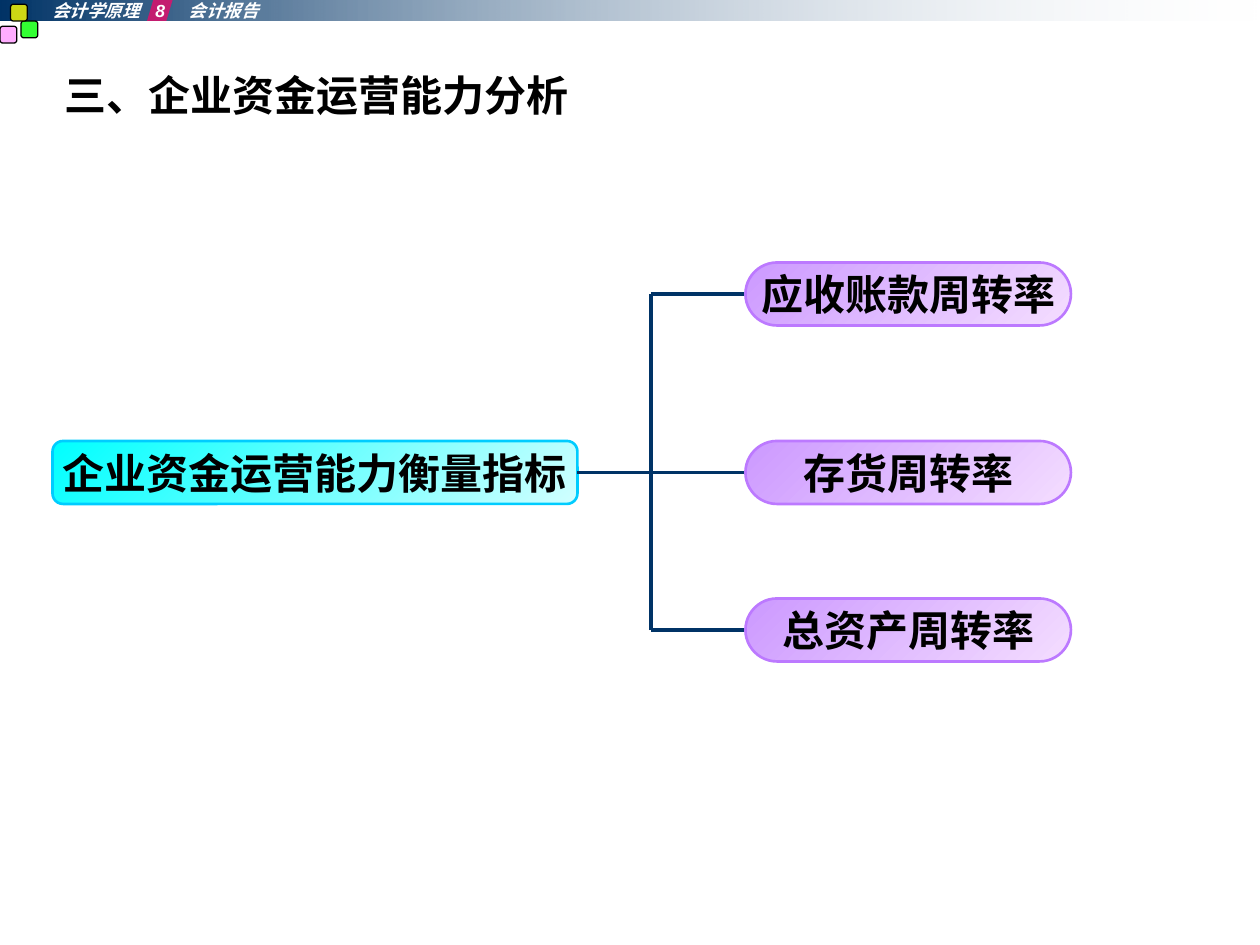
import pptx
import pptx.dml.color
import pptx.enum.shapes
import pptx.enum.text
import pptx.oxml.ns
import pptx.util
from dataclasses import dataclass
from lxml import etree

SCALE = 7620  # EMU per px, 120 px to the inch
qn = pptx.oxml.ns.qn
SHAPE = pptx.enum.shapes.MSO_SHAPE


@dataclass(frozen=True)
class Theme:
    font: str = "Arial"
    header_size: int = 10
    body_size: int = 24
    thin: float = 0.75
    outline: float = 1.5
    branch: float = 2.25
    navy: str = "003366"
    mist: str = "E7ECF1"
    black: str = "000000"
    white: str = "FFFFFF"
    pink: str = "FF99FF"
    green: str = "00FF00"
    yellow: str = "FFFF00"
    magenta: str = "FF0066"
    root_fill: tuple = ("00FFFF", "D1FFFF")
    root_line: str = "00CCFF"
    leaf_fill: tuple = ("CC99FF", "F4DDFF")
    leaf_line: str = "BC79FF"


THEME = Theme()


def px(length):
    return pptx.util.Emu(length * SCALE)


def rgb(value):
    return pptx.dml.color.RGBColor.from_string(value)


def add_box(page, kind, box, fill, adjust=None, line=None, width=THEME.outline,
            angle=0, alpha=None):
    """Add a preset shape; a pair of fill colours makes a gradient.

    The alpha percentage applies to the last fill colour.
    """
    shape = page.shapes.add_shape(kind, *map(px, box))
    shape.shadow.inherit = False
    if adjust is not None:
        shape.adjustments[0] = adjust
    if isinstance(fill, tuple):
        shape.fill.gradient()
        shape.fill.gradient_angle = (360 - angle) % 360
        for stop, color in zip(shape.fill.gradient_stops, fill):
            stop.color.rgb = rgb(color)
    else:
        shape.fill.solid()
        shape.fill.fore_color.rgb = rgb(fill)
    if alpha is not None:
        color = list(shape._element.spPr.iter(qn("a:srgbClr")))[-1]
        etree.SubElement(color, qn("a:alpha"), val=str(alpha * 1000))
    if line:
        shape.line.color.rgb = rgb(line)
        shape.line.width = pptx.util.Pt(width)
    else:
        shape.line.fill.background()
    return shape


def add_text_box(page, box):
    frame = page.shapes.add_textbox(*map(px, box)).text_frame
    frame.word_wrap = True
    return frame


def style_text(para, size, color, italic=None):
    for span in para.runs:
        span.font.name = THEME.font
        span.font.size = pptx.util.Pt(size)
        span.font.bold = True
        span.font.italic = italic
        span.font.color.rgb = rgb(color)


def add_line(page, start, end):
    line = page.shapes.add_connector(
        pptx.enum.shapes.MSO_CONNECTOR.STRAIGHT, *map(px, start + end))
    line.line.color.rgb = rgb(THEME.navy)
    line.line.width = pptx.util.Pt(THEME.branch)
    etree.SubElement(line._element.spPr, qn("a:effectLst"))


def add_header(page, box):
    left, top, width, height = box
    # Fading bar
    add_box(page, SHAPE.RECTANGLE, box, (THEME.navy, THEME.mist), alpha=0)
    # Corner squares
    for x, y, color in ((0, 25, THEME.pink), (20, 20, THEME.green),
                        (10, 4, THEME.yellow)):
        add_box(page, SHAPE.ROUNDED_RECTANGLE, (left + x, top + y, 16, 16), color,
                0.167, THEME.black, THEME.thin, alpha=80)
    # Chapter marker
    add_box(page, SHAPE.PARALLELOGRAM, (left + 140, top - 2, 25, 22),
            THEME.magenta, 0.3, alpha=70)
    # Book, chapter number and chapter name on tab stops
    frame = add_text_box(page, (left + 50, top, 350, height))
    frame.margin_left = frame.margin_right = 0
    frame.margin_top = frame.margin_bottom = 0
    frame.text = "会计学原理\t8\t会计报告"
    para = frame.paragraphs[0]
    tabs = etree.SubElement(para._p.get_or_add_pPr(), qn("a:tabLst"))
    for position in (98, 130):
        etree.SubElement(tabs, qn("a:tab"), pos=str(px(position)), algn="l")
    style_text(para, THEME.header_size, THEME.white, italic=True)


def add_title(page, box, text):
    frame = add_text_box(page, box)
    frame.text = text
    para = frame.paragraphs[0]
    properties = para._p.get_or_add_pPr()
    properties.set("marL", str(px(45)))
    properties.set("indent", str(px(-45)))
    style_text(para, THEME.body_size, THEME.black)


def add_node(page, box, text, fill, line, adjust):
    shape = add_box(page, SHAPE.ROUNDED_RECTANGLE, box, fill, adjust, line, angle=45)
    frame = shape.text_frame
    frame.word_wrap = False
    frame.vertical_anchor = pptx.enum.text.MSO_ANCHOR.MIDDLE
    frame.text = text
    para = frame.paragraphs[0]
    para.alignment = pptx.enum.text.PP_ALIGN.CENTER
    style_text(para, THEME.body_size, THEME.black)


def add_tree(page, box, root, leaves):
    """Leaves are (text, centre as an offset from the top of the box)."""
    left, top, width, height = box
    node_height, root_width, leaf_width = 60, 500, 310
    root_right, trunk, leaf_left = left + root_width, left + 570, left + width - leaf_width
    centres = [top + offset for _, offset in leaves]
    middle = centres[1]

    # Root
    add_node(page, (left, middle - node_height // 2, root_width, node_height),
             root, THEME.root_fill, THEME.root_line, 0.167)
    # Stem and trunk
    add_line(page, (root_right, middle), (trunk, middle))
    add_line(page, (trunk, centres[-1]), (trunk, centres[0]))
    # Branches and leaves
    for (text, _), centre in zip(leaves, centres):
        add_line(page, (trunk, centre), (leaf_left, centre))
        add_node(page, (leaf_left, centre - node_height // 2, leaf_width, node_height),
                 text, THEME.leaf_fill, THEME.leaf_line, 0.5)


def main():
    deck = pptx.Presentation()
    deck.slide_width, deck.slide_height = px(1200), px(900)
    page = deck.slides.add_slide(deck.slide_layouts[6])
    add_header(page, (0, 0, 1200, 20))
    add_title(page, (50, 60, 1100, 790), "三、企业资金运营能力分析")
    add_tree(page, (50, 250, 970, 380), "企业资金运营能力衡量指标",
             [("应收账款周转率", 30), ("存货周转率", 200), ("总资产周转率", 350)])
    deck.save("out.pptx")


if __name__ == "__main__":
    main()
